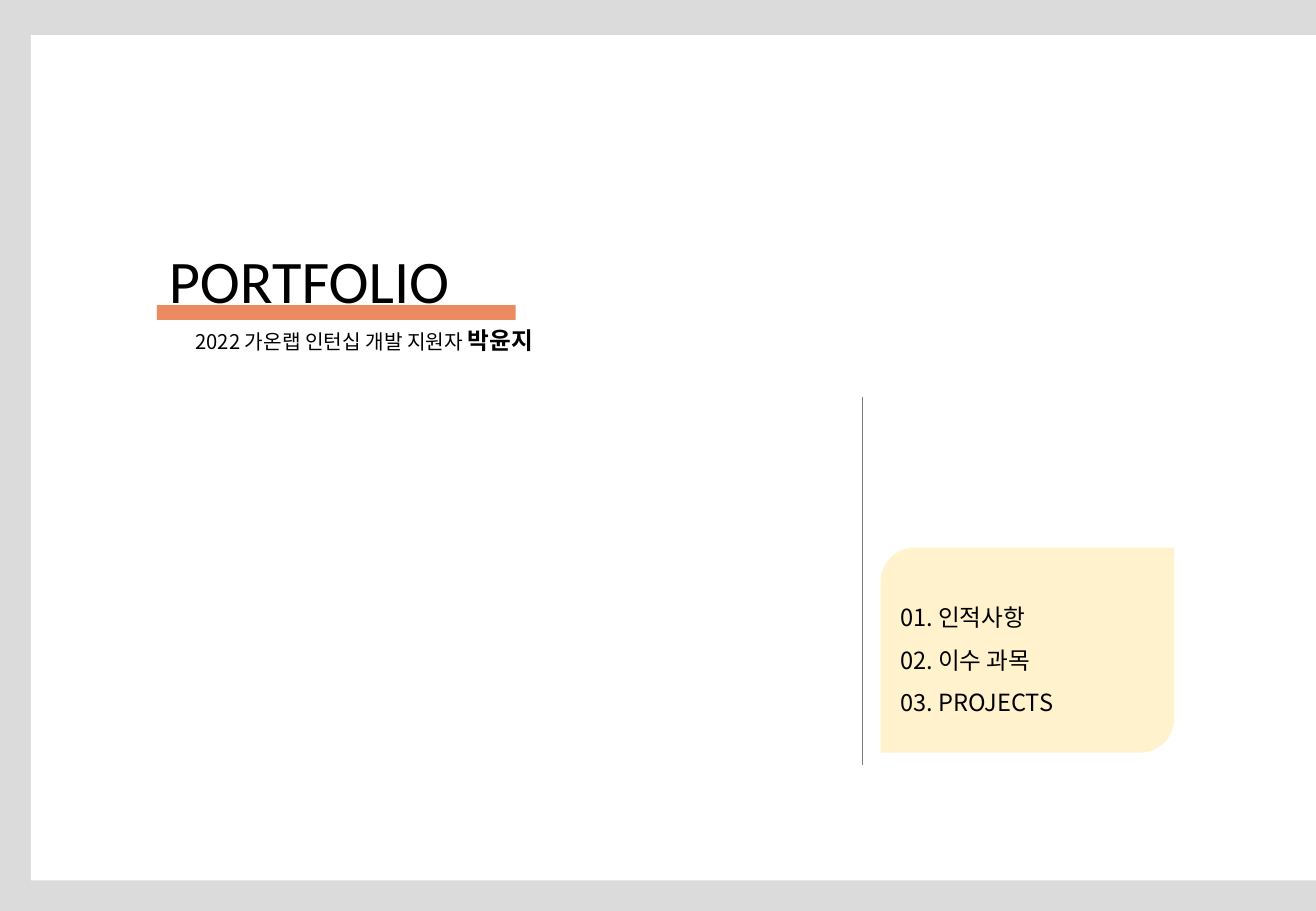
from lxml.etree import SubElement
from pptx import Presentation
from pptx.dml.color import RGBColor
from pptx.enum.shapes import MSO_CONNECTOR, MSO_SHAPE
from pptx.enum.text import MSO_AUTO_SIZE
from pptx.oxml.ns import qn
from pptx.util import Pt

KOREAN = "Noto Sans CJK KR"


def rgb(value):
    """Turn a hex string into a colour."""
    return RGBColor.from_string(value)


def apply_format(target, values):
    """Set every attribute named in a dict of format values."""
    for attribute, value in values.items():
        setattr(target, attribute, value)


def add_block(slide, preset, bounds, color):
    """Add a filled preset shape without an outline."""
    block = slide.shapes.add_shape(preset, *map(Pt, bounds))
    block.shadow.inherit = False
    block.fill.solid()
    block.fill.fore_color.rgb = rgb(color)
    block.line.fill.background()


def add_divider(slide, start, end, color, width):
    """Add a thin straight line without a shadow."""
    divider = slide.shapes.add_connector(MSO_CONNECTOR.STRAIGHT, *map(Pt, start + end))
    divider.line.color.rgb = rgb(color)
    divider.line.width = Pt(width)
    SubElement(divider._element.spPr, qn("a:effectLst"))


def add_text(slide, bounds, lines, font_name, wrap=False, spacing=None):
    """Add a text box whose lines are lists of (text, format) pairs."""
    frame = slide.shapes.add_textbox(*map(Pt, bounds)).text_frame
    apply_format(frame, {"word_wrap": wrap, "auto_size": MSO_AUTO_SIZE.SHAPE_TO_FIT_TEXT})
    for index, line in enumerate(lines):
        paragraph = frame.add_paragraph() if index else frame.paragraphs[0]
        paragraph.line_spacing = spacing
        for text, font_format in line:
            run = paragraph.add_run()
            run.text = text
            run.font.color.rgb = rgb("000000")
            apply_format(run.font, {"name": font_name, **font_format})
            SubElement(run._r.get_or_add_rPr(), qn("a:ea"), typeface=font_name)


def main():
    """Build the portfolio cover and save it."""
    deck = Presentation()
    apply_format(deck, {"slide_width": Pt(780), "slide_height": Pt(540)})
    cover = deck.slides.add_slide(deck.slide_layouts[6])
    cover.background.fill.solid()
    cover.background.fill.fore_color.rgb = rgb("DBDBDB")

    add_block(cover, MSO_SHAPE.RECTANGLE, (18.4, 20.9, 761.6, 501), "FFFFFF")
    add_block(cover, MSO_SHAPE.ROUND_2_DIAG_RECTANGLE, (522, 324.6, 174, 121.6), "FFF2CC")
    add_block(cover, MSO_SHAPE.RECTANGLE, (93, 180.9, 212.6, 8.7), "EC8A62")

    title = [("PORTFOLIO", {"size": Pt(35.8)})]
    add_text(cover, (93, 140.4, 215.3, 50.4), [title], "Calibri")
    applicant = [
        ("2022 가온랩 인턴십 개발 지원자 ", {"size": Pt(12)}),
        ("박윤지", {"size": Pt(14), "bold": True}),
    ]
    add_text(cover, (108.7, 189.4, 238.3, 24.5), [applicant], KOREAN)

    add_divider(cover, (511, 235.4), (511, 453.6), "808080", 0.5)
    sections = ["인적사항", "이수 과목", "PROJECTS"]
    agenda = [
        [(f"{number:02}. {section}", {"size": Pt(14)})]
        for number, section in enumerate(sections, 1)
    ]
    add_text(cover, (526.4, 345.6, 164, 80.6), agenda, KOREAN, wrap=True, spacing=1.5)

    deck.save("out.pptx")


if __name__ == "__main__":
    main()
